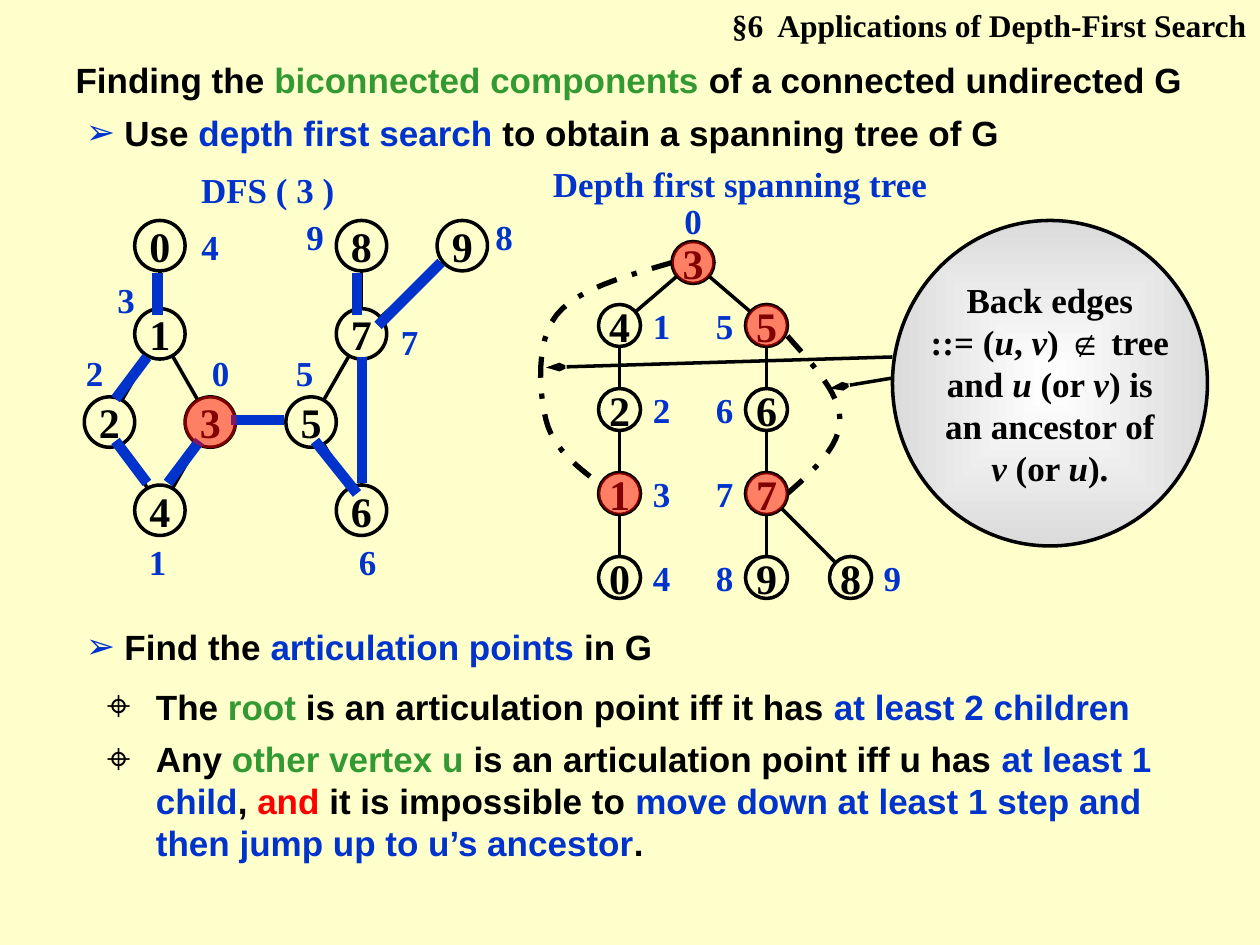
from math import hypot
from lxml.etree import SubElement
from pptx import Presentation
from pptx.dml.color import RGBColor
from pptx.enum.dml import MSO_LINE
from pptx.enum.shapes import MSO_CONNECTOR, MSO_SHAPE
from pptx.enum.text import MSO_ANCHOR, MSO_AUTO_SIZE, PP_ALIGN
from pptx.oxml.ns import qn
from pptx.util import Pt

HUES = {"black": "000000", "blue": "0033CC", "green": "339933", "red": "FF0000",
        "cream": "FFFFCC", "white": "FFFFFF", "gray": "DBDBDB"}
SERIF, SANS = "Times New Roman", "Arial"

HEAD = [("Finding the ", "black"), ("biconnected components", "green"),
        (" of a connected undirected G", "black")]
POINTS = [
    (42, 60, 630, 31, 22, "➢", "blue", 100,
     [("Use ", "black"), ("depth first search", "blue"),
      (" to obtain a spanning tree of G", "black")]),
    (42, 354, 630, 31, 22, "➢", "blue", 100,
     [("Find the ", "black"), ("articulation points", "blue"), (" in G", "black")]),
    (54, 388, 624, 31, 28, "⌖", "black", 120,
     [("The ", "black"), ("root ", "green"),
      ("is an articulation point iff it has ", "black"), ("at least 2 children", "blue")]),
    (54, 418, 624, 80, 28, "⌖", "black", 120,
     [("Any ", "black"), ("other vertex u", "green"),
      (" is an articulation point iff u has ", "black"), ("at least 1 child", "blue"),
      (", ", "black"), ("and", "red"), (" it is impossible to ", "black"),
      ("move down at least 1 step and then jump up to u’s ancestor", "blue"),
      (".", "black")]),
]
NOTE = [["Back edges"], ["::= (", "u", ", ", "v", ") ∉ tree"],
        ["and ", "u", " (or ", "v", ") is"], ["an ancestor of"],
        ["v", " (or ", "u", ")."]]

GRAPH = {"0": (1, 0), "1": (1, 1), "2": (0, 2), "3": (2, 2), "4": (1, 3),
         "8": (5, 0), "7": (5, 1), "5": (4, 2), "6": (5, 3), "9": (7, 0)}
LINKS = ["01", "12", "13", "24", "34", "87", "75", "35", "56", "76", "97"]
VISITS = [(114, 204), (78, 312), (42, 204), (60, 162), (108, 132),
          (162, 204), (198, 312), (222, 186), (276, 126), (168, 126)]
WALK = [(114, 252, 96, 276), (66, 252, 84, 276), (84, 204, 66, 228),
        (90, 156, 90, 180), (132, 240, 162, 240), (180, 252, 204, 282),
        (207, 204, 207, 276), (216, 186, 252, 150), (204, 156, 204, 180)]

TREE = {"3": (396, 150), "4": (354, 186), "5": (438, 186), "2": (354, 234),
        "6": (438, 234), "1": (354, 282), "7": (438, 282), "0": (354, 330),
        "9": (438, 330), "8": (486, 330)}
LIMBS = ["34", "35", "42", "21", "10", "56", "67", "79", "78"]
ORDER = {"3": (0, -24), "4": (24, 0), "2": (24, 0), "1": (24, 0), "0": (24, 0),
         "5": (-24, 0), "6": (-24, 0), "7": (-24, 0), "9": (-24, 0), "8": (24, 0)}
CUTS = "3157"
CURVES = [
    [(384, 150), (357, 158), (330, 165), (318, 180), (306, 195), (308, 224),
     (312, 240), (316, 256), (329, 266), (342, 276)],
    [(450, 192), (465, 209), (480, 225), (480, 240), (480, 255), (465, 269), (450, 282)],
]
ARROWS = [(510, 204, 312, 210), (510, 216, 474, 222)]

deck = Presentation()
deck.slide_width, deck.slide_height = Pt(720), Pt(540)
slide = deck.slides.add_slide(deck.slide_layouts[5])
slide.background.fill.solid()
slide.background.fill.fore_color.rgb = RGBColor.from_string(HUES["cream"])
shapes = slide.shapes


def style(run, hue, size=20, face=SANS):
    run.font.name, run.font.size, run.font.bold = face, Pt(size), True
    run.font.color.rgb = RGBColor.from_string(HUES[hue])


def fill_runs(para, parts):
    for text, hue in parts:
        run = para.add_run()
        run.text = text
        style(run, hue)


def center(shape, text, hue, size):
    frame = shape.text_frame
    frame.word_wrap, frame.vertical_anchor = False, MSO_ANCHOR.MIDDLE
    frame.margin_left = frame.margin_right = frame.margin_top = frame.margin_bottom = 0
    frame.text = text
    for para in frame.paragraphs:
        para.alignment = PP_ALIGN.CENTER
        for run in para.runs:
            style(run, hue, size, SERIF)


def label(text, x, y, w, h):
    center(shapes.add_textbox(Pt(x), Pt(y), Pt(w), Pt(h)), text, "blue", 20)


def pen(line, hue, width):
    line.color.rgb = RGBColor.from_string(HUES[hue])
    line.width = Pt(width)


def disc(x, y, w, h):
    shape = shapes.add_shape(MSO_SHAPE.OVAL, Pt(x), Pt(y), Pt(w), Pt(h))
    shape.shadow.inherit = False
    return shape


def node(text, x, y, size):
    shape = disc(x - size / 2, y - size / 2, size, size)
    shape.fill.background()
    pen(shape.line, "black", 2)
    center(shape, text, "black", 24)
    return shape


def tint(x, y, size):
    shape = disc(x - size / 2, y - size / 2, size, size)
    shape.fill.solid()
    shape.fill.fore_color.rgb = RGBColor.from_string(HUES["red"])
    color = shape._element.spPr.find(qn("a:solidFill"))[0]
    SubElement(color, qn("a:alpha"), val="50000")
    shape.line.fill.background()


def stroke(ends, hue="black", width=2):
    line = shapes.add_connector(MSO_CONNECTOR.STRAIGHT, *[Pt(v) for v in ends])
    pen(line.line, hue, width)
    SubElement(line._element.spPr, qn("a:effectLst"))
    return line


def network(spots, pairs, size):
    nodes = {name: node(name, *spot, size) for name, spot in spots.items()}
    for a, b in pairs:
        (ax, ay), (bx, by) = spots[a], spots[b]
        gap = size / 2 / hypot(bx - ax, by - ay)
        dx, dy = (bx - ax) * gap, (by - ay) * gap
        line = stroke((ax + dx, ay + dy, bx - dx, by - dy))
        if ax == bx or ay == by:
            out, into = (2, 0) if ax == bx else (3, 1)
            line.begin_connect(nodes[a], out)
            line.end_connect(nodes[b], into)


def bend(knots, steps=12):
    path = []
    for i in range(0, len(knots) - 1, 3):
        for k in range(1, steps + 1):
            t = k / steps
            mix = ((1 - t) ** 3, 3 * t * (1 - t) ** 2, 3 * t * t * (1 - t), t ** 3)
            path.append([Pt(sum(m * p[axis] for m, p in zip(mix, knots[i:i + 4])))
                         for axis in (0, 1)])
    return path


title = shapes.title
title.left, title.top, title.width, title.height = Pt(36), Pt(30), Pt(648), Pt(31)
frame = title.text_frame
frame.auto_size, frame.vertical_anchor = MSO_AUTO_SIZE.NONE, MSO_ANCHOR.TOP
frame.paragraphs[0].alignment = PP_ALIGN.LEFT
fill_runs(frame.paragraphs[0], HEAD)

frame = shapes.add_textbox(Pt(384), 0, Pt(335.5), Pt(29)).text_frame
frame.word_wrap = True
frame.text = "§6  Applications of Depth-First Search"
frame.paragraphs[0].alignment = PP_ALIGN.RIGHT
style(frame.paragraphs[0].runs[0], "black", 18, SERIF)

for x, y, w, h, hang, mark, hue, scale, parts in POINTS:
    frame = shapes.add_textbox(Pt(x), Pt(y), Pt(w), Pt(h)).text_frame
    frame.word_wrap = True
    para = frame.paragraphs[0]
    fill_runs(para, parts)
    props = para._p.get_or_add_pPr()
    props.set("marL", str(Pt(hang)))
    props.set("indent", str(-Pt(hang)))
    SubElement(SubElement(props, qn("a:buClr")), qn("a:srgbClr"), val=HUES[hue])
    SubElement(props, qn("a:buSzPct"), val=str(scale * 1000))
    SubElement(props, qn("a:buFont"), typeface=SANS)
    SubElement(props, qn("a:buChar"), char=mark)

spots = {name: (62.6 + 28.8 * col, 140.4 + 50.4 * row) for name, (col, row) in GRAPH.items()}
network(spots, LINKS, 28.8)
label("DFS ( 3 )", 108, 96, 90, 24)
for step, (x, y) in enumerate(VISITS):
    label(str(step), x, y, 24, 18)
for ends in WALK:
    stroke(ends, "blue", 6)
tint(*spots["3"], 30)

label("Depth first spanning tree", 300, 90, 246, 30)
network(TREE, LIMBS, 24)
for step, (name, (dx, dy)) in enumerate(ORDER.items()):
    x, y = TREE[name]
    label(str(step), x + dx - 12, y + dy - 12, 24, 24)
for knots in CURVES:
    form = shapes.build_freeform(*[Pt(v) for v in knots[0]])
    form.add_line_segments(bend(knots), close=False)
    curve = form.convert_to_shape()
    curve.shadow.inherit = False
    curve.fill.background()
    pen(curve.line, "black", 3)
    curve.line.dash_style = MSO_LINE.DASH_DOT
for name in CUTS:
    tint(*TREE[name], 24)

note = disc(510, 126, 180, 186)
note.fill.gradient()
grad = note._element.spPr.find(qn("a:gradFill"))
for part in list(grad):
    grad.remove(part)
stops = SubElement(grad, qn("a:gsLst"))
for pos, hue in (("0", "white"), ("100000", "gray")):
    SubElement(SubElement(stops, qn("a:gs"), pos=pos), qn("a:srgbClr"), val=HUES[hue])
SubElement(SubElement(grad, qn("a:path"), path="shape"), qn("a:fillToRect"),
           l="50000", t="50000", r="50000", b="50000")
pen(note.line, "black", 2)
center(note, "\n".join("".join(row) for row in NOTE), "black", 20)
for para, row in zip(note.text_frame.paragraphs, NOTE):
    para.runs[0].text = row[0]
    for text in row[1:]:
        run = para.add_run()
        run.text = text
        style(run, "black", 20, SERIF)
    for run in para.runs:
        run.font.italic = run.text in ("u", "v")
for ends in ARROWS:
    line = stroke(ends)
    SubElement(line._element.spPr.find(qn("a:ln")), qn("a:tailEnd"),
               type="arrow", w="sm", len="lg")

deck.save("out.pptx")
